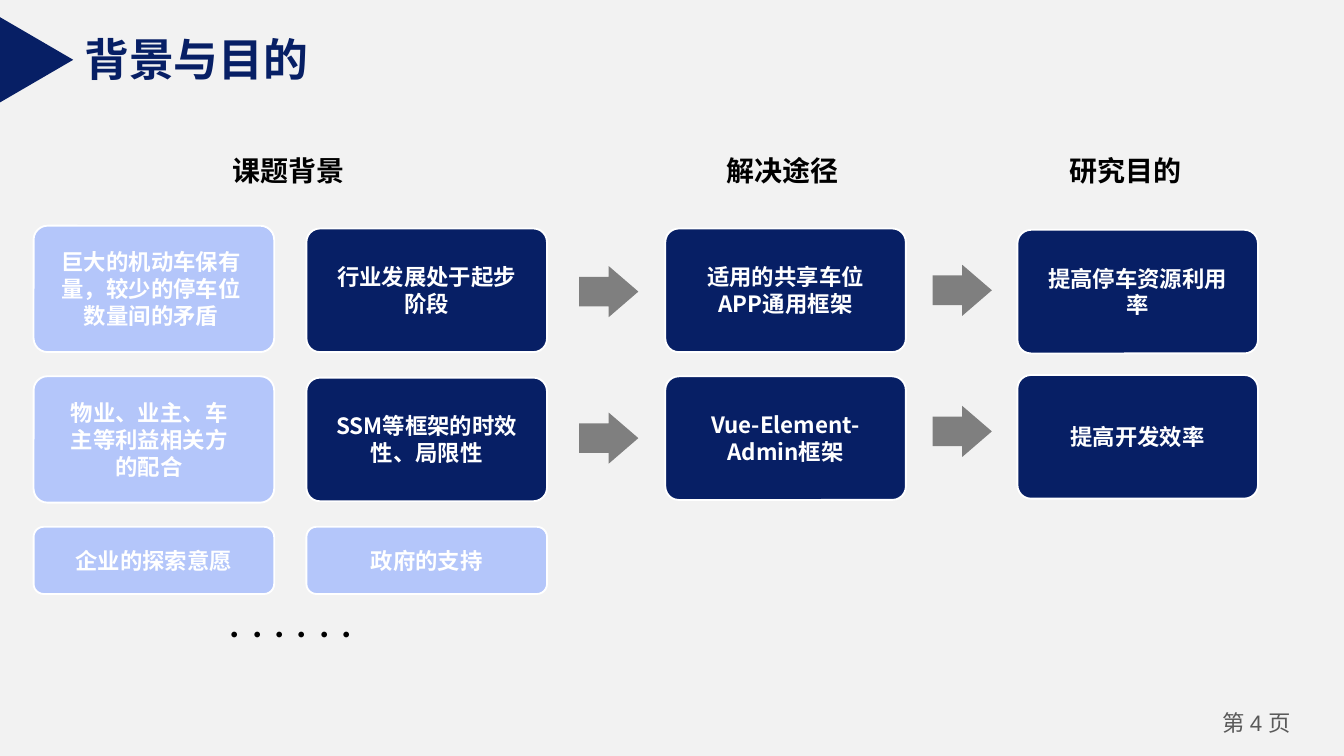
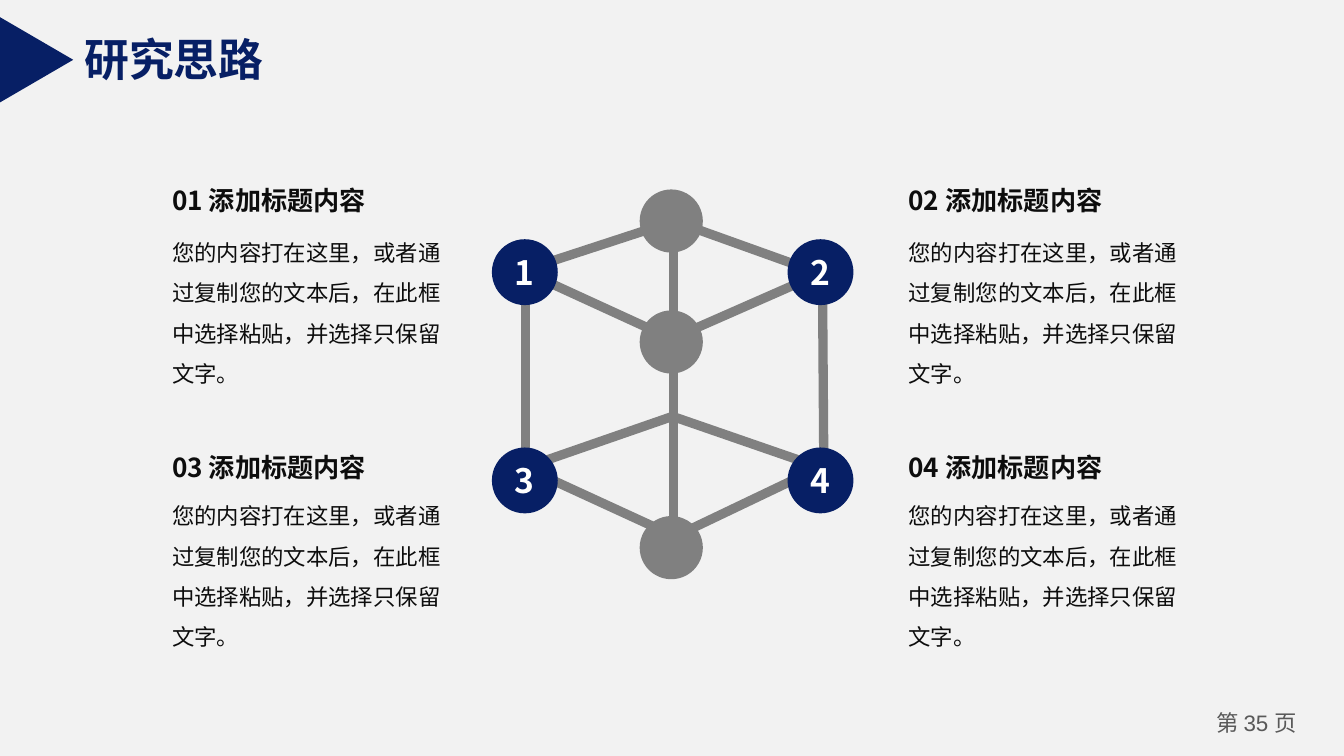
from lxml.etree import SubElement
from pptx import Presentation
from pptx.dml.color import RGBColor
from pptx.enum.shapes import MSO_CONNECTOR as LINE, MSO_SHAPE as SHAPE
from pptx.enum.text import MSO_ANCHOR as ANCHOR, PP_ALIGN as ALIGN
from pptx.oxml.ns import qn
from pptx.util import Inches, Pt

NAVY, LIGHT, GRAY, EDGE = "071F65", "B4C6FA", "7F7F7F", "808080"
WHITE, BLACK, INK, FOOT, PAPER = "FFFFFF", "000000", "0D0D0D", "595959", "F2F2F2"
CJK = "Noto Sans CJK SC"
BODY = "您的内容打在这里，或者通过复制您的文本后，在此框中选择粘贴，并选择只保留文字。"


def rgb(color):
    return RGBColor.from_string(color)


def box(x, y, w, h):
    return [Inches(v) for v in (x, y, w, h)]


def set_face(font, name):
    font.name = name
    SubElement(font._rPr, qn("a:ea")).set("typeface", name)


def set_margins(tf, left, top, right=None):
    tf.margin_left = Inches(left)
    tf.margin_right = Inches(left if right is None else right)
    tf.margin_top = tf.margin_bottom = Inches(top)


def write(tf, text, size, color, bold=False, align=ALIGN.LEFT, spacing=None):
    p = tf.paragraphs[0]
    p.text = text
    p.alignment = align
    if spacing:
        p.line_spacing = spacing
    p.font.size = Pt(size)
    p.font.bold = bold
    p.font.color.rgb = rgb(color)
    set_face(p.font, CJK)


def add_text(s, x, y, w, h, text, size, color, wrap=True, **style):
    tf = s.shapes.add_textbox(*box(x, y, w, h)).text_frame
    tf.word_wrap = wrap
    set_margins(tf, 0.09 if wrap else 0.1, 0.05)
    write(tf, text, size, color, **style)


def add_shape(s, kind, x, y, w, h, fill, line=None):
    sp = s.shapes.add_shape(kind, *box(x, y, w, h))
    sp.shadow.inherit = False
    sp.fill.solid()
    sp.fill.fore_color.rgb = rgb(fill)
    if line:
        sp.line.color.rgb = rgb(line)
        sp.line.width = Pt(1)
    else:
        sp.line.fill.background()
    return sp


def add_footer(s, number):
    tf = s.shapes.add_textbox(*box(8.9, 5.24, 0.9, 0.3)).text_frame
    tf.word_wrap = True
    set_margins(tf, 0.07, 0.04)
    p = tf.paragraphs[0]
    p.alignment = ALIGN.CENTER
    p.font.size = Pt(12)
    p.font.color.rgb = rgb(FOOT)
    for text, face in (("第 ", CJK), (f"{number} ", "Arial"), ("页", CJK)):
        r = p.add_run()
        r.text = text
        set_face(r.font, face)


def new_slide(prs, title, number):
    s = prs.slides.add_slide(prs.slide_layouts[6])
    s.background.fill.solid()
    s.background.fill.fore_color.rgb = rgb(PAPER)
    add_footer(s, number)
    add_text(s, 0.53, 0.19, 0.22 + 0.33 * len(title), 0.5, title, 24, NAVY,
             wrap=False, bold=True)
    sp = add_shape(s, SHAPE.ISOSCELES_TRIANGLE, -0.05, 0.17, 0.64, 0.55, NAVY)
    sp.rotation = 90
    return s


def add_card(s, x, y, h, text, fill, left=0.18, right=0.18):
    sp = add_shape(s, SHAPE.ROUNDED_RECTANGLE, x, y, 1.79, h, fill, WHITE)
    sp.adjustments[0] = 0.11 if h > 0.6 else 0.15
    tf = sp.text_frame
    tf.word_wrap = True
    tf.vertical_anchor = ANCHOR.MIDDLE
    set_margins(tf, left, 0.05, right)
    write(tf, text, 12, WHITE, bold=True, align=ALIGN.CENTER)


def add_column(s, x, y, pitch, cards):
    for i, (h, fill, text, *margins) in enumerate(cards):
        add_card(s, x, y + pitch * i, h, text, fill, *margins)


def add_arrow(s, x, y):
    sp = add_shape(s, SHAPE.RIGHT_ARROW, x, y, 0.44, 0.38, GRAY)
    sp.adjustments[0] = sp.adjustments[1] = 0.58


def background_slide(prs):
    s = new_slide(prs, "背景与目的", 4)
    for x, heading in ((1.63, "课题背景"), (5.31, "解决途径"), (7.86, "研究目的")):
        add_text(s, x, 0.97, 1.04, 0.44, heading, 15, BLACK,
                 wrap=False, bold=True, spacing=1.5)
    add_column(s, 0.25, 1.68, 1.12, [
        (0.94, LIGHT, "巨大的机动车保有量，较少的停车位数量间的矛盾", 0.16, 0.2),
        (0.94, LIGHT, "物业、业主、车主等利益相关方的配合", 0.18, 0.25),
        (0.5, LIGHT, "企业的探索意愿")])
    add_column(s, 2.28, 1.7, 1.11, [
        (0.92, NAVY, "行业发展处于起步阶段"),
        (0.92, NAVY, "SSM等框架的时效性、局限性"),
        (0.5, LIGHT, "政府的支持")])
    add_column(s, 4.95, 1.7, 1.1, [
        (0.92, NAVY, "适用的共享车位APP通用框架"),
        (0.92, NAVY, "Vue-Element-Admin框架")])
    add_column(s, 7.57, 1.71, 1.08, [
        (0.92, NAVY, "提高停车资源利用率"),
        (0.92, NAVY, "提高开发效率")])
    for x, tops in ((4.31, (1.98, 3.07)), (6.94, (1.97, 3.02))):
        for y in tops:
            add_arrow(s, x, y)
    add_text(s, 1.4, 4.57, 1.53, 0.3, "······", 12, BLACK,
             bold=True, align=ALIGN.CENTER)


def add_edge(s, x1, y1, x2, y2):
    c = s.shapes.add_connector(LINE.STRAIGHT, *box(x1, y1, x2, y2))
    c.line.color.rgb = rgb(EDGE)
    c.line.width = Pt(5)
    SubElement(c._element.spPr, qn("a:effectLst"))


def add_cube(s, x, y):
    edges = [
        (1.34, 0.24, 0.21, 0.61), (2.33, 2.12, 1.43, 2.55),
        (1.34, 1.69, 0.33, 2.04), (2.34, 0.67, 1.34, 1.11),
        (1.25, 2.53, 0.38, 2.13), (2.39, 2.05, 1.32, 1.68),
        (2.43, 0.62, 1.37, 0.24), (1.27, 1.08, 0.31, 0.64),
        (0.25, 0.67, 0.25, 2.1), (2.46, 0.67, 2.47, 2.1),
        (1.35, 0.34, 1.35, 2.56)]
    for x1, y1, x2, y2 in edges:
        add_edge(s, x + x1, y + y1, x + x2, y + y2)
    for i in range(4):
        row, col = divmod(i, 2)
        sp = add_shape(s, SHAPE.OVAL, x + 2.2 * col, y + 0.37 + 1.55 * row,
                       0.49, 0.49, NAVY)
        tf = sp.text_frame
        tf.vertical_anchor = ANCHOR.MIDDLE
        set_margins(tf, 0, 0)
        write(tf, str(i + 1), 18, WHITE, bold=True, align=ALIGN.CENTER)
    for dy in (0, 0.9, 2.43):
        add_shape(s, SHAPE.OVAL, x + 1.1, y + dy, 0.47, 0.47, EDGE)


def add_topic(s, x, y, number, gap):
    add_text(s, x, y, 2.2, 0.34, f"{number:02} 添加标题内容", 14, INK, bold=True)
    add_text(s, x, y + gap, 2.2, 1.28, BODY, 12, INK, spacing=1.5)


def approach_slide(prs):
    s = new_slide(prs, "研究思路", 35)
    add_cube(s, 3.66, 1.41)
    for row, (y, gap) in enumerate(((1.32, 0.31), (3.31, 0.28))):
        for col, x in enumerate((1.19, 6.67)):
            add_topic(s, x, y, 2 * row + col + 1, gap)


def main():
    prs = Presentation()
    prs.slide_width = Inches(10)
    prs.slide_height = prs.slide_width * 9 // 16
    background_slide(prs)
    approach_slide(prs)
    prs.save("out.pptx")


if __name__ == "__main__":
    main()
